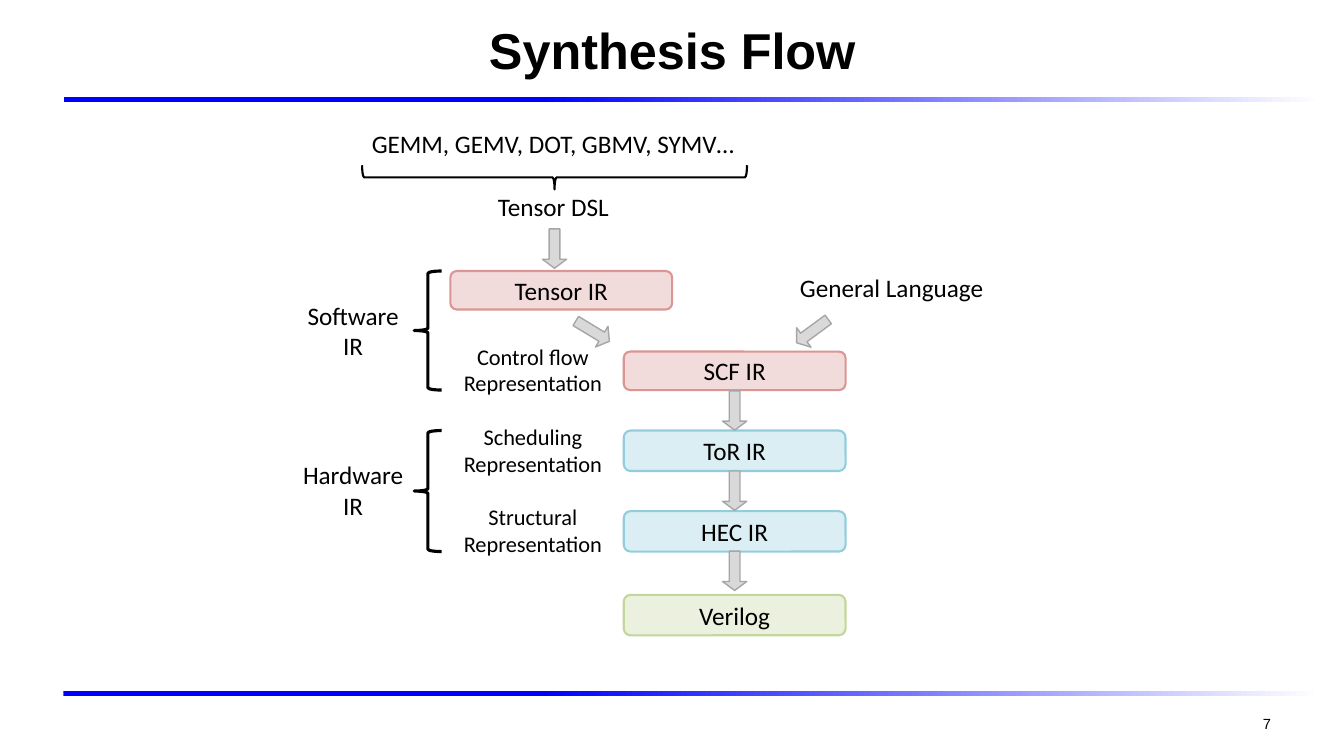
from pptx import Presentation
from pptx.dml.color import RGBColor
from pptx.enum.shapes import MSO_SHAPE
from pptx.enum.text import MSO_ANCHOR, PP_ALIGN
from pptx.util import Cm, Pt

RECT = MSO_SHAPE.RECTANGLE
ROUNDED = MSO_SHAPE.ROUNDED_RECTANGLE
DOWN_ARROW = MSO_SHAPE.DOWN_ARROW
LEFT_BRACE = MSO_SHAPE.LEFT_BRACE
RIGHT_BRACE = MSO_SHAPE.RIGHT_BRACE
TOP, MIDDLE = MSO_ANCHOR.TOP, MSO_ANCHOR.MIDDLE
LEFT, CENTER, RIGHT = PP_ALIGN.LEFT, PP_ALIGN.CENTER, PP_ALIGN.RIGHT

BLACK = RGBColor(0x00, 0x00, 0x00)
WHITE = RGBColor(0xFF, 0xFF, 0xFF)
BLUE = RGBColor(0x00, 0x00, 0xFF)
GREY = RGBColor(0xD9, 0xD9, 0xD9)
GREY_LINE = RGBColor(0xA6, 0xA6, 0xA6)
PINK = RGBColor(0xF2, 0xDC, 0xDB)
PINK_LINE = RGBColor(0xD9, 0x96, 0x94)
AQUA = RGBColor(0xDB, 0xEE, 0xF4)
AQUA_LINE = RGBColor(0x93, 0xCD, 0xDD)
GREEN = RGBColor(0xEB, 0xF1, 0xDE)
GREEN_LINE = RGBColor(0xC3, 0xD6, 0x9B)

SOFTWARE = (PINK, PINK_LINE)
HARDWARE = (AQUA, AQUA_LINE)
OUTPUT = (GREEN, GREEN_LINE)

STAGE_X, STAGE_W = 15.72, 5.59
ARROW_W, ARROW_H = 0.61, 0.99
STEP = 2.02


class FlowSlide:
    heading_font = "Arial"
    body_font = "Calibri"

    def __init__(self, prs):
        self.slide = prs.slides.add_slide(prs.slide_layouts[6])

    def fill_text(self, sp, lines, size, font, align, anchor, bold=False):
        tf = sp.text_frame
        tf.word_wrap = True
        tf.vertical_anchor = anchor
        for i, line in enumerate(lines):
            p = tf.paragraphs[0] if i == 0 else tf.add_paragraph()
            p.alignment = align
            r = p.add_run()
            r.text = line
            r.font.size = Pt(size)
            r.font.name = font
            r.font.bold = bold
            r.font.color.rgb = BLACK

    def text(self, x, y, w, h, lines, size=18, font=body_font,
             align=CENTER, anchor=TOP, bold=False):
        sp = self.slide.shapes.add_textbox(Cm(x), Cm(y), Cm(w), Cm(h))
        self.fill_text(sp, lines, size, font, align, anchor, bold)

    def shape(self, kind, x, y, w, h, rotation=0):
        sp = self.slide.shapes.add_shape(kind, Cm(x), Cm(y), Cm(w), Cm(h))
        sp.shadow.inherit = False
        sp.rotation = rotation
        return sp

    def outline(self, sp, color, width):
        sp.line.color.rgb = color
        sp.line.width = Pt(width)

    def rule(self, x, y):
        sp = self.shape(RECT, x, y, 31.67, 0.13)
        sp.line.fill.background()
        sp.fill.gradient()
        sp.fill.gradient_angle = 0
        for stop, position, color in zip(sp.fill.gradient_stops, (0.38, 1), (BLUE, WHITE)):
            stop.position = position
            stop.color.rgb = color

    def stage(self, x, y, h, name, colors):
        fill, line = colors
        sp = self.shape(ROUNDED, x, y, STAGE_W, h)
        sp.fill.solid()
        sp.fill.fore_color.rgb = fill
        self.outline(sp, line, 1.5)
        self.fill_text(sp, [name], 18, self.body_font, CENTER, MIDDLE)

    def arrow(self, x, y, rotation=0):
        sp = self.shape(DOWN_ARROW, x, y, ARROW_W, ARROW_H, rotation)
        sp.adjustments[0] = 0.44
        sp.adjustments[1] = 0.37
        sp.fill.solid()
        sp.fill.fore_color.rgb = GREY
        self.outline(sp, GREY_LINE, 1)

    def brace(self, kind, x, y, w, h, width, rotation=0):
        sp = self.shape(kind, x, y, w, h, rotation)
        sp.fill.background()
        self.outline(sp, BLACK, width)


def main():
    prs = Presentation()
    prs.slide_width, prs.slide_height = Cm(33.87), Cm(19.05)
    s = FlowSlide(prs)

    s.rule(1.62, 2.44)
    s.rule(1.6, 17.42)
    s.text(1.73, 0.13, 30.43, 2.21, ["Synthesis Flow"], 36, s.heading_font,
           anchor=MIDDLE, bold=True)
    s.text(24.38, 17.73, 7.9, 1.02, ["7"], 10.5, s.heading_font, RIGHT, MIDDLE)

    s.text(9.12, 3.12, 9.73, 1.02, ["GEMM, GEMV, DOT, GBMV, SYMV…"], align=LEFT)
    s.brace(RIGHT_BRACE, 13.67, -0.38, 0.61, 9.7, 1.5, 90)
    s.text(11.15, 4.7, STAGE_W, 1.14, ["Tensor DSL"])
    s.text(19.74, 6.73, 5.46, 1.02, ["General Language"])

    s.stage(11.35, 6.83, 0.97, "Tensor IR", SOFTWARE)
    for y, h, name, colors in (
        (8.86, 0.97, "SCF IR", SOFTWARE),
        (10.85, 1.02, "ToR IR", HARDWARE),
        (12.88, 1.02, "HEC IR", HARDWARE),
        (14.99, 1.02, "Verilog", OUTPUT),
    ):
        s.stage(STAGE_X, y, h, name, colors)

    s.arrow(13.67, 5.77)
    s.arrow(14.63, 7.85, 301.2)
    s.arrow(20.17, 7.85, 53.6)
    for i, role in enumerate(("Control flow", "Scheduling", "Structural")):
        s.arrow(STAGE_X + (STAGE_W - ARROW_W) / 2, 9.85 + i * STEP)
        s.text(11.13, 8.51 + i * STEP, 4.6, 1.63, [role, "Representation"], 16)

    for name, brace_y, brace_h, label_y in (
        ("Software", 6.83, 3, 7.44),
        ("Hardware", 10.85, 3.05, 11.46),
    ):
        s.brace(LEFT_BRACE, 10.44, brace_y, 0.69, brace_h, 2.25)
        s.text(7.34, label_y, 3.12, 1.8, [name, "IR"])

    prs.save("out.pptx")


if __name__ == "__main__":
    main()
